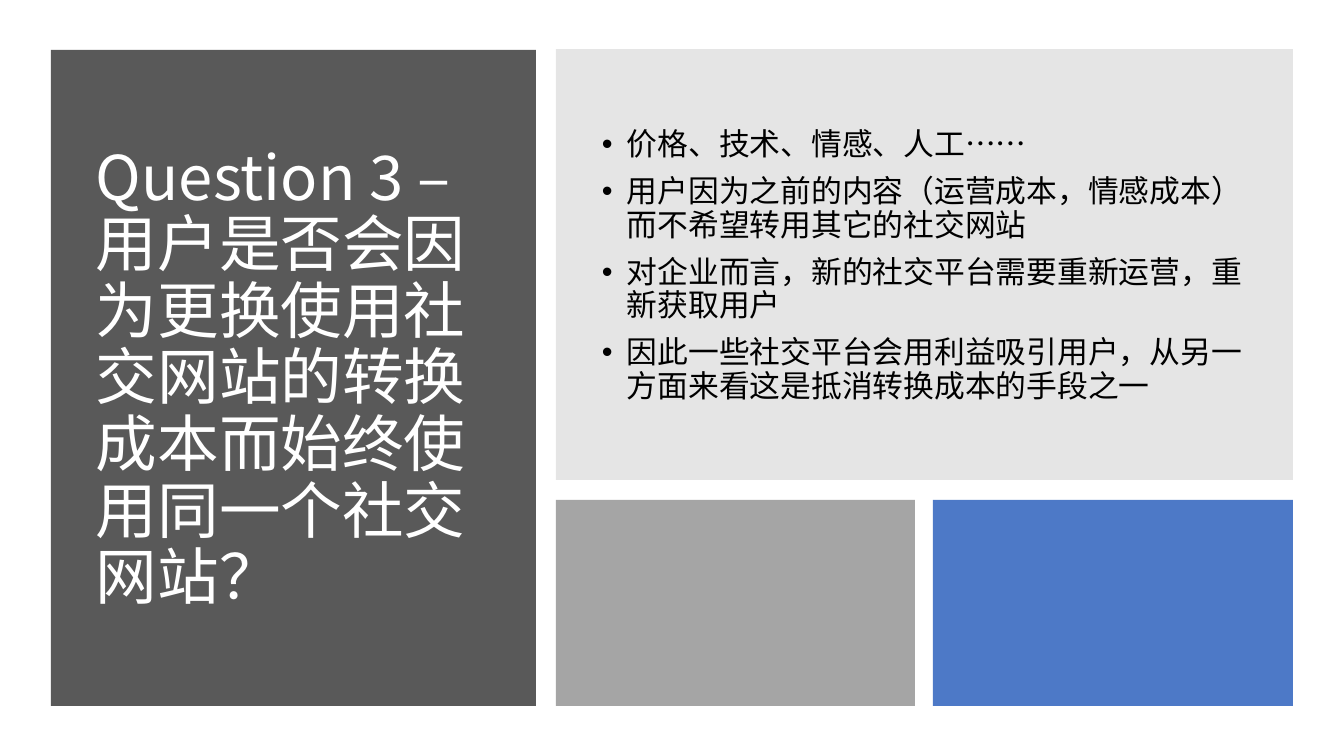
from lxml import etree
from pptx import Presentation
from pptx.dml.color import RGBColor
from pptx.enum.shapes import MSO_SHAPE
from pptx.enum.text import MSO_ANCHOR
from pptx.oxml.ns import qn
from pptx.util import Emu, Pt

RECTANGLE = MSO_SHAPE.RECTANGLE
MIDDLE = MSO_ANCHOR.MIDDLE

EMU_PER_PX = 914400 / 100.8
FONT = "Noto Sans CJK SC"
WHITE = RGBColor(0xFF, 0xFF, 0xFF)
BLACK = RGBColor(0x00, 0x00, 0x00)
DARK_GRAY = RGBColor(0x59, 0x59, 0x59)
MID_GRAY = RGBColor(0x80, 0x80, 0x80)
LIGHT_GRAY = RGBColor(0xA5, 0xA5, 0xA5)
BLUE = RGBColor(0x44, 0x72, 0xC4)

BULLET_INDENT = 25
TITLE = "Question 3 – 用户是否会因为更换使用社交网站的转换成本而始终使用同一个社交网站？"
POINTS = [
    "价格、技术、情感、人工……",
    "用户因为之前的内容（运营成本，情感成本）而不希望转用其它的社交网站",
    "对企业而言，新的社交平台需要重新运营，重新获取用户",
    "因此一些社交平台会用利益吸引用户，从另一方面来看这是抵消转换成本的手段之一",
]


def px(length):
    return Emu(round(length * EMU_PER_PX))


def add_panel(slide, left, top, width, height, color, opacity=100):
    """Add a borderless rectangle; opacity is a percentage."""
    shape = slide.shapes.add_shape(RECTANGLE, px(left), px(top), px(width), px(height))
    shape.shadow.inherit = False
    shape.line.fill.background()
    shape.fill.solid()
    shape.fill.fore_color.rgb = color
    if opacity < 100:
        color_element = shape.fill._xPr.find(".//" + qn("a:srgbClr"))
        etree.SubElement(color_element, qn("a:alpha"), val=str(opacity * 1000))


def add_bullet(paragraph):
    properties = paragraph._p.get_or_add_pPr()
    properties.set("marL", str(px(BULLET_INDENT)))
    properties.set("indent", str(-px(BULLET_INDENT)))
    etree.SubElement(properties, qn("a:buFont"), typeface="Arial")
    etree.SubElement(properties, qn("a:buChar"), char="•")


def set_font(paragraph, size, color):
    """Set the font for both Latin and East Asian text."""
    font = paragraph.font
    font.size = Pt(size)
    font.color.rgb = color
    font.name = FONT
    etree.SubElement(font._element, qn("a:ea"), typeface=FONT)


def add_text(slide, left, top, width, height, lines, size, color, bulleted=False):
    box = slide.shapes.add_textbox(px(left), px(top), px(width), px(height))
    frame = box.text_frame
    frame.word_wrap = True
    frame.vertical_anchor = MIDDLE
    for index, line in enumerate(lines):
        paragraph = frame.add_paragraph() if index else frame.paragraphs[0]
        paragraph.text = line
        paragraph.line_spacing = 0.9
        if index:
            paragraph.space_before = Pt(10)
        if bulleted:
            add_bullet(paragraph)
        set_font(paragraph, size, color)


def main():
    presentation = Presentation()
    presentation.slide_width = px(1344)
    presentation.slide_height = px(756)
    slide = presentation.slides.add_slide(presentation.slide_layouts[6])

    add_panel(slide, 51, 50, 485, 656, DARK_GRAY)
    add_text(slide, 86, 84, 414, 592, [TITLE], 44, WHITE)

    add_panel(slide, 556, 49, 737, 431, MID_GRAY, opacity=20)
    add_text(slide, 592, 89, 667, 355, POINTS, 22, BLACK, bulleted=True)

    add_panel(slide, 556, 500, 359, 206, LIGHT_GRAY)
    add_panel(slide, 933, 500, 360, 206, BLUE, opacity=95)

    presentation.save("out.pptx")


if __name__ == "__main__":
    main()
